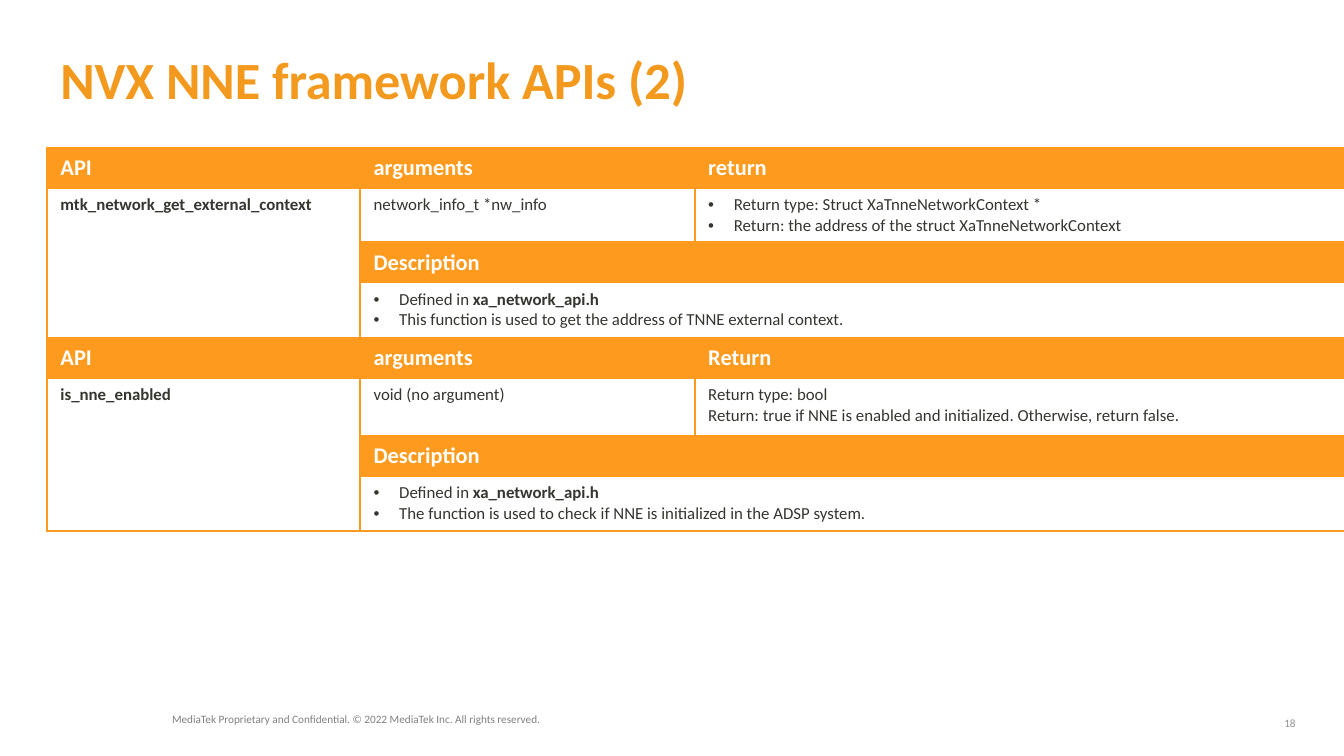
from dataclasses import dataclass

from lxml.etree import SubElement
from pptx import Presentation
from pptx.dml.color import RGBColor
from pptx.enum.text import MSO_ANCHOR, PP_ALIGN
from pptx.oxml.ns import qn
from pptx.util import Inches, Pt


@dataclass(frozen=True)
class Theme:
    font: str = "Calibri"
    orange: str = "FE9B1E"
    title: str = "F39A1E"
    ink: str = "353630"
    white: str = "FFFFFF"
    footer: str = "808080"
    number: str = "90918F"
    title_size: int = 28
    header_size: int = 12
    body_size: int = 9
    small_size: int = 6


THEME = Theme()
SLIDE_WIDTH = 10
SLIDE_HEIGHT = SLIDE_WIDTH * 9 / 16
TITLE = "NVX NNE framework APIs (2)"
FOOTER = "MediaTek Proprietary and Confidential. © 2022 MediaTek Inc. All rights reserved."
PAGE_NUMBER = "18"

# A paragraph is a string or a list of (text, bold) spans.
DEFINED_IN = [("Defined in ", False), ("xa_network_api.h", True)]
APIS = [
    {
        "headers": ["API", "arguments", "return"],
        "name": "mtk_network_get_external_context",
        "arguments": "network_info_t *nw_info",
        "returns": [
            "Return type: Struct XaTnneNetworkContext *",
            "Return: the address of the struct XaTnneNetworkContext",
        ],
        "bulleted_returns": True,
        "description": [
            DEFINED_IN,
            "This function is used to get the address of TNNE external context.",
        ],
        "heights": [0.3, 0.39, 0.3, 0.41],
    },
    {
        "headers": ["API", "arguments", "Return"],
        "name": "is_nne_enabled",
        "arguments": "void (no argument)",
        "returns": [
            "Return type: bool",
            "Return: true if NNE is enabled and initialized. Otherwise, return false.",
        ],
        "bulleted_returns": False,
        "description": [
            DEFINED_IN,
            "The function is used to check if NNE is initialized in the ADSP system.",
        ],
        "heights": [0.3, 0.43, 0.3, 0.41],
    },
]
COLUMN_WIDTHS = [2.33, 2.49, 4.98]
TABLE_LEFT, TABLE_TOP = 0.35, 1.1


def add_bullet(paragraph):
    properties = paragraph._p.get_or_add_pPr()
    properties.set("marL", str(Inches(0.19)))
    properties.set("indent", str(-Inches(0.19)))
    SubElement(properties, qn("a:buFont")).set("typeface", "Arial")
    SubElement(properties, qn("a:buChar")).set("char", "•")


def write(frame, paragraphs, size=THEME.body_size, color=THEME.ink, bold=False,
          bullet=False, align=PP_ALIGN.LEFT, line_spacing=None):
    """Fill a text frame; each paragraph is a string or a list of (text, bold) spans."""
    for index, content in enumerate(paragraphs):
        paragraph = frame.paragraphs[0] if index == 0 else frame.add_paragraph()
        if bullet:
            add_bullet(paragraph)
        paragraph.alignment = align
        if line_spacing:
            paragraph.line_spacing = line_spacing
        spans = [(content, bold)] if isinstance(content, str) else content
        for text, is_bold in spans:
            span = paragraph.add_run()
            span.text = text
            span.font.name = THEME.font
            span.font.size = Pt(size)
            span.font.bold = is_bold
            span.font.color.rgb = RGBColor.from_string(color)


def add_text(page, text, left, top, width, height, margins=None,
             anchor=MSO_ANCHOR.TOP, **text_format):
    box = page.shapes.add_textbox(*map(Inches, (left, top, width, height)))
    frame = box.text_frame
    frame.word_wrap = True
    frame.vertical_anchor = anchor
    if margins is not None:
        frame.margin_left = frame.margin_right = Inches(margins)
        frame.margin_top = frame.margin_bottom = Inches(margins)
    write(frame, [text], **text_format)


def style_cell(cell, fill):
    cell.fill.solid()
    cell.fill.fore_color.rgb = RGBColor.from_string(fill)
    properties = cell._tc.get_or_add_tcPr()
    for position, side in enumerate(("lnL", "lnR", "lnT", "lnB")):
        line = SubElement(properties, qn(f"a:{side}"), w=str(Pt(1)))
        solid = SubElement(line, qn("a:solidFill"))
        SubElement(solid, qn("a:srgbClr"), val=THEME.orange)
        properties.insert(position, line)


def fill_api(table, first_row, api):
    """Write the four rows of one API: headers, signature, description header and text."""
    signature, label, description = range(first_row + 1, first_row + 4)
    for row in range(first_row, first_row + 4):
        for column in range(len(COLUMN_WIDTHS)):
            is_header = row == first_row or (row == label and column > 0)
            style_cell(table.cell(row, column),
                       THEME.orange if is_header else THEME.white)

    table.cell(signature, 0).merge(table.cell(description, 0))
    for row in (label, description):
        table.cell(row, 1).merge(table.cell(row, 2))

    header = {"size": THEME.header_size, "color": THEME.white, "bold": True}
    for column, text in enumerate(api["headers"]):
        write(table.cell(first_row, column).text_frame, [text], **header)
    write(table.cell(signature, 0).text_frame, [api["name"]], bold=True)
    write(table.cell(signature, 1).text_frame, [api["arguments"]])
    write(table.cell(signature, 2).text_frame, api["returns"],
          bullet=api["bulleted_returns"])
    write(table.cell(label, 1).text_frame, ["Description"], **header)
    write(table.cell(description, 1).text_frame, api["description"], bullet=True)


def add_api_table(page):
    heights = [height for api in APIS for height in api["heights"]]
    table = page.shapes.add_table(
        len(heights), len(COLUMN_WIDTHS), Inches(TABLE_LEFT), Inches(TABLE_TOP),
        Inches(sum(COLUMN_WIDTHS)), Inches(sum(heights))).table
    table.first_row = table.horz_banding = False
    for column, width in zip(table.columns, COLUMN_WIDTHS):
        column.width = Inches(width)
    for row, height in zip(table.rows, heights):
        row.height = Inches(height)
    first_row = 0
    for api in APIS:
        fill_api(table, first_row, api)
        first_row += len(api["heights"])


def main():
    deck = Presentation()
    deck.slide_width, deck.slide_height = Inches(SLIDE_WIDTH), Inches(SLIDE_HEIGHT)
    page = deck.slides.add_slide(deck.slide_layouts[6])
    add_text(page, FOOTER, 1.28, 5.31, 5.61, 0.2, margins=0,
             size=THEME.small_size, color=THEME.footer, line_spacing=0.9)
    add_text(page, PAGE_NUMBER, 9.34, 5.32, 0.3, 0.12, margins=0,
             anchor=MSO_ANCHOR.MIDDLE, size=THEME.small_size,
             color=THEME.number, align=PP_ALIGN.RIGHT)
    add_api_table(page)
    add_text(page, TITLE, 0.35, 0.19, 8.99, 0.79, anchor=MSO_ANCHOR.MIDDLE,
             size=THEME.title_size, color=THEME.title, bold=True)
    deck.save("out.pptx")


if __name__ == "__main__":
    main()
